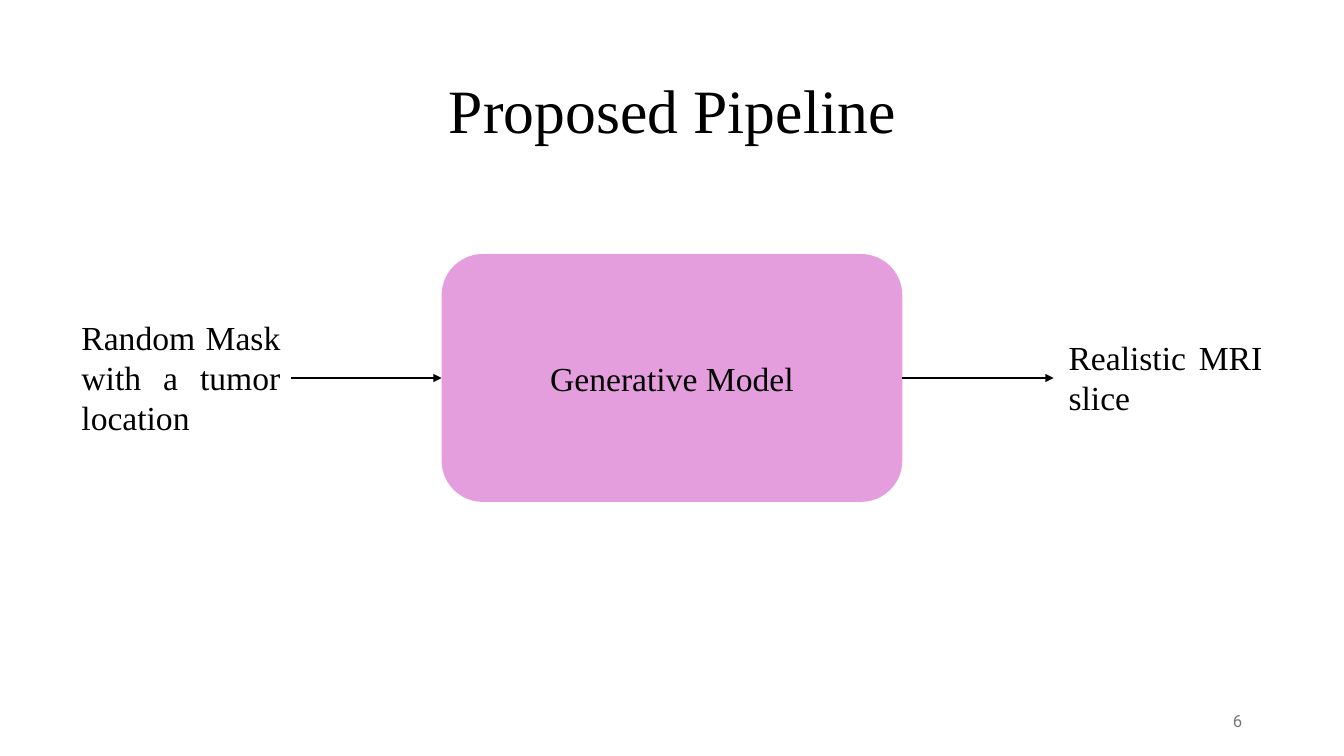
import pptx
import pptx.util
import pptx.dml.color
import pptx.enum.shapes
import pptx.enum.text
import pptx.oxml.ns
import lxml.etree

COLORS = {"ink": "000000", "model": "E59EDD", "number": "797979"}
SCALE = 9144  # EMU per px, 100 px to the inch
ALIGN = pptx.enum.text.PP_ALIGN
ANCHOR = pptx.enum.text.MSO_ANCHOR
SHAPE = pptx.enum.shapes.MSO_SHAPE


def emu(*px):
    return [pptx.util.Emu(n * SCALE) for n in px]


def rgb(name):
    return pptx.dml.color.RGBColor.from_string(COLORS[name])


class Board:
    def __init__(self, slide, font="Times New Roman", size=24):
        self.slide = slide
        self.font = font
        self.size = size

    def label(self, shape, text, align, anchor, size=None, font=None, color="ink"):
        frame = shape.text_frame
        frame.word_wrap = True
        frame.vertical_anchor = anchor
        para = frame.paragraphs[0]
        para.text = text
        para.alignment = align
        para.font.size = pptx.util.Pt(size or self.size)
        para.font.name = font or self.font
        para.font.color.rgb = rgb(color)
        return para

    def text(self, box, text, align=ALIGN.JUSTIFY, anchor=ANCHOR.TOP, **style):
        shape = self.slide.shapes.add_textbox(*emu(*box))
        return self.label(shape, text, align, anchor, **style)

    def block(self, box, text, fill):
        shape = self.slide.shapes.add_shape(SHAPE.ROUNDED_RECTANGLE, *emu(*box))
        shape.shadow.inherit = False
        shape.fill.solid()
        shape.fill.fore_color.rgb = rgb(fill)
        shape.line.fill.background()
        self.label(shape, text, ALIGN.CENTER, ANCHOR.MIDDLE)
        return shape

    def arrow(self, start, end):
        kind = pptx.enum.shapes.MSO_CONNECTOR.STRAIGHT
        line = self.slide.shapes.add_connector(kind, *emu(*start, *end))
        line.line.color.rgb = rgb("ink")
        line.line.width = pptx.util.Pt(1.5)
        qn = pptx.oxml.ns.qn
        props = line.element.spPr
        tip = lxml.etree.SubElement(props.find(qn("a:ln")), qn("a:tailEnd"))
        tip.set("type", "triangle")
        lxml.etree.SubElement(props, qn("a:effectLst"))
        return line


def main():
    deck = pptx.Presentation()
    deck.slide_width, deck.slide_height = emu(1333, 750)
    board = Board(deck.slides.add_slide(deck.slide_layouts[6]))

    title = board.text((92, 40, 1150, 145), "Proposed Pipeline",
                       ALIGN.CENTER, ANCHOR.MIDDLE, size=44)
    title.line_spacing = 0.9
    board.text((942, 695, 300, 40), "6", ALIGN.RIGHT, ANCHOR.MIDDLE,
               size=12, font="Roboto", color="number")

    model = board.block((438, 252, 457, 246), "Generative Model", "model")
    board.arrow((289, 375), (438, 375)).end_connect(model, 1)
    board.arrow((895, 375), (1045, 375)).begin_connect(model, 3)

    board.text((71, 309, 217, 131), "Random Mask with a tumor location")
    board.text((1050, 329, 212, 91), "Realistic MRI slice")
    deck.save("out.pptx")


if __name__ == "__main__":
    main()
